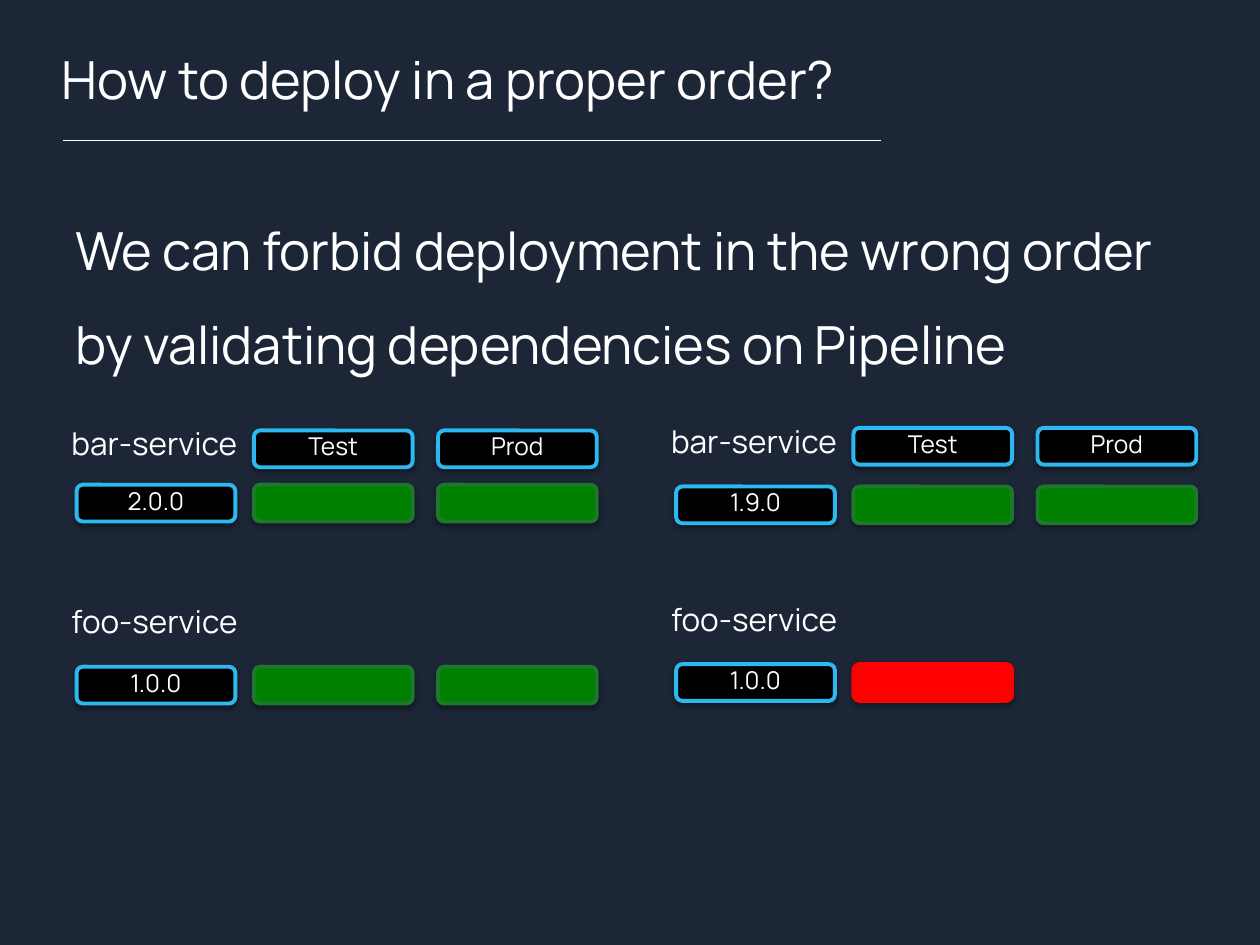
from lxml import etree
from pptx import Presentation
from pptx.dml.color import RGBColor
from pptx.enum import shapes, text
from pptx.oxml.ns import qn
from pptx.util import Pt

FONT = "Manrope"
WHITE, BLACK, NAVY = "FFFFFF", "000000", "1C2637"
BLUE, GREEN, DARK_GREEN, RED = "2BB9EF", "008000", "1E782B", "FF0000"
PASSED, FAILED = (GREEN, DARK_GREEN), (RED, RED)  # fill and border
BOX_WIDTH, BOX_HEIGHT = 90.7, 21
COLUMNS = (10, 111.3, 216.5)  # offsets from the left of a panel


def color(hex_value):
    return RGBColor.from_string(hex_value)


def style_paragraph(paragraph, words, size, spacing):
    paragraph.text = words
    paragraph.line_spacing = spacing
    paragraph.font.name = FONT
    paragraph.font.size = Pt(size)
    paragraph.font.color.rgb = color(WHITE)


def add_text(slide, words, left, top, width, height, size, spacing=1.0):
    shape = slide.shapes.add_textbox(Pt(left), Pt(top), Pt(width), Pt(height))
    frame = shape.text_frame
    frame.word_wrap = True
    frame.auto_size = text.MSO_AUTO_SIZE.SHAPE_TO_FIT_TEXT
    style_paragraph(frame.paragraphs[0], words, size, spacing)


def add_rule(slide, left, right, top):
    line = slide.shapes.add_connector(
        shapes.MSO_CONNECTOR.STRAIGHT, Pt(left), Pt(top), Pt(right), Pt(top))
    line.line.color.rgb = color(WHITE)
    line.line.width = Pt(0.5)
    etree.SubElement(line._element.spPr, qn("a:effectLst"))


def add_soft_shadow(shape):
    shape.shadow.inherit = False
    effects = shape._element.spPr.find(qn("a:effectLst"))
    shadow = etree.SubElement(
        effects, qn("a:outerShdw"), blurRad=str(Pt(3.1)), dist=str(Pt(1.8)),
        dir="5400000", rotWithShape="0")
    shade = etree.SubElement(shadow, qn("a:srgbClr"), val=BLACK)
    etree.SubElement(shade, qn("a:alpha"), val="35000")


def add_box(slide, left, top, fill, border, words=""):
    shape = slide.shapes.add_shape(
        shapes.MSO_SHAPE.ROUNDED_RECTANGLE,
        Pt(left), Pt(top), Pt(BOX_WIDTH), Pt(BOX_HEIGHT))
    shape.fill.solid()
    shape.fill.fore_color.rgb = color(fill)
    shape.line.color.rgb = color(border)
    shape.line.width = Pt(2.25)
    add_soft_shadow(shape)
    if words:
        shape.text_frame.vertical_anchor = text.MSO_ANCHOR.MIDDLE
        paragraph = shape.text_frame.paragraphs[0]
        style_paragraph(paragraph, words, 14, 0.8)
        paragraph.alignment = text.PP_ALIGN.CENTER


def add_service_row(slide, left, top, version, statuses):
    """Draw a version box followed by one coloured box per stage."""
    add_box(slide, left + COLUMNS[0], top, BLACK, BLUE, version)
    for offset, (fill, border) in zip(COLUMNS[1:], statuses):
        add_box(slide, left + offset, top, fill, border)


def add_panel(slide, left, header_top, bar_top, foo_top, bar_version, foo_statuses):
    for offset, stage in zip(COLUMNS[1:], ("Test", "Prod")):
        add_box(slide, left + offset, header_top, BLACK, BLUE, stage)
    for service, top in (("bar-service", header_top - 7),
                         ("foo-service", foo_top - 40.4)):
        add_text(slide, service, left, top, 150, 29, 18)
    add_service_row(slide, left, bar_top, bar_version, [PASSED] * 2)
    add_service_row(slide, left, foo_top, "1.0.0", foo_statuses)


def main():
    presentation = Presentation()
    presentation.slide_width, presentation.slide_height = Pt(720), Pt(540)
    slide = presentation.slides.add_slide(presentation.slide_layouts[6])
    slide.background.fill.solid()
    slide.background.fill.fore_color.rgb = color(NAVY)

    add_text(slide, "How to deploy in a proper order?", 28, 23.2, 472, 44, 30)
    add_rule(slide, 36, 503.5, 80)
    add_text(slide, "We can forbid deployment in the wrong order by validating "
             "dependencies on Pipeline", 36, 103, 647, 113, 30, spacing=1.5)
    add_panel(slide, 33.8, 246, 277, 381, "2.0.0", [PASSED] * 2)
    add_panel(slide, 376.4, 244.5, 278, 379.5, "1.9.0", [FAILED])
    presentation.save("out.pptx")


if __name__ == "__main__":
    main()
